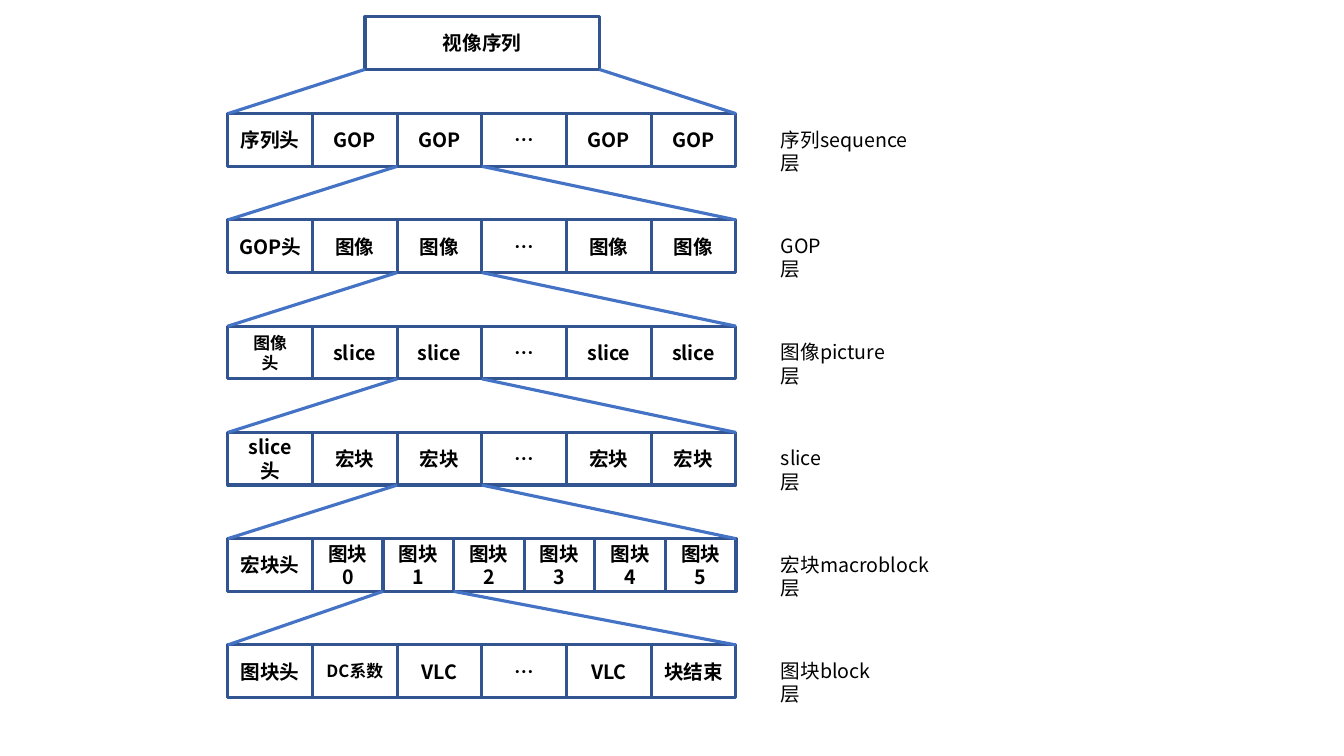
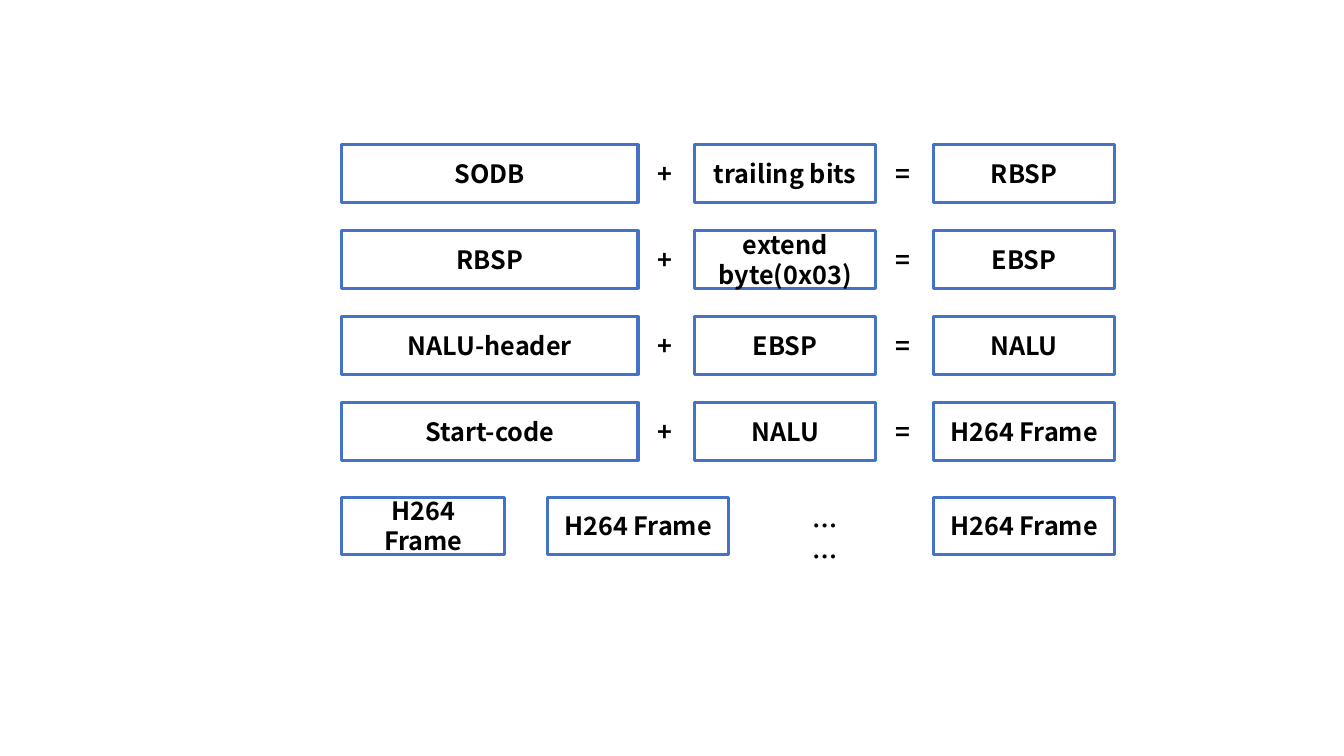
"""Build two slides on video coding layers and H264 frame assembly."""
from dataclasses import dataclass
from typing import NamedTuple

from lxml.etree import SubElement
from pptx import Presentation
from pptx.dml.color import RGBColor
from pptx.enum.shapes import MSO_CONNECTOR as Connector, MSO_SHAPE as Shape
from pptx.enum.text import MSO_ANCHOR as Anchor, PP_ALIGN as Align
from pptx.oxml.ns import qn
from pptx.util import Pt


@dataclass(frozen=True)
class Theme:
    """Colours, type and line sizes shared by the slides."""
    font: str = "Noto Sans CJK SC"
    text: str = "000000"
    paper: str = "FFFFFF"
    cell_line: str = "325491"
    accent: str = "4472C4"
    line_width: float = 2.25
    small: int = 12
    normal: int = 14
    large: int = 18


class Box(NamedTuple):
    """A rectangle in points."""
    left: float
    top: float
    width: float
    height: float

    @property
    def right(self):
        """Return the right edge."""
        return self.left + self.width

    @property
    def bottom(self):
        """Return the bottom edge."""
        return self.top + self.height


THEME = Theme()
LEVEL_PITCH = 75.9
EQUATION_PITCH = 61.4
LEVELS = [
    ("序列sequence层", 115.2, ["序列头", "GOP", "GOP", "…", "GOP", "GOP"]),
    ("GOP层", 56.9, ["GOP头", "图像", "图像", "…", "图像", "图像"]),
    ("图像picture层", 99.4, ["图像\n头", "slice", "slice", "…", "slice", "slice"]),
    ("slice层", 54.7, ["slice\n头", "宏块", "宏块", "…", "宏块", "宏块"]),
    ("宏块macroblock层", 127.4, ["宏块头"] + [f"图块{index}" for index in range(6)]),
    ("图块block层", 89.3, ["图块头", "DC系数", "VLC", "…", "VLC", "块结束"]),
]
SMALL_CELLS = {"图像\n头", "DC系数"}
EQUATIONS = [
    ("SODB", "trailing bits", "RBSP"),
    ("RBSP", "extend byte(0x03)", "EBSP"),
    ("NALU-header", "EBSP", "NALU"),
    ("Start-code", "NALU", "H264 Frame"),
]


def apply_format(target, values):
    """Set each attribute named in a dict of format values."""
    for name, value in values.items():
        setattr(target, name, value)


def write_text(text_frame, text, size, bold=True, align=Align.CENTER):
    """Write text, one paragraph per line, in the theme's type."""
    text_frame.word_wrap = True
    text_frame.text = text
    for paragraph in text_frame.paragraphs:
        paragraph.alignment = align
        for run in paragraph.runs:
            apply_format(run.font, {"name": THEME.font, "size": Pt(size), "bold": bold})
            run.font.color.rgb = RGBColor.from_string(THEME.text)
            SubElement(run.font._element, qn("a:ea"), typeface=THEME.font)


def draw_line(line, color):
    """Give a line its colour and the theme's width."""
    line.color.rgb = RGBColor.from_string(color)
    line.width = Pt(THEME.line_width)


def add_cell(slide, box, text, size, color, fill=None):
    """Add an outlined rectangle with centred text."""
    shape = slide.shapes.add_shape(Shape.RECTANGLE, *map(Pt, box))
    shape.shadow.inherit = False
    if fill:
        shape.fill.solid()
        shape.fill.fore_color.rgb = RGBColor.from_string(fill)
    else:
        shape.fill.background()
    draw_line(shape.line, color)
    shape.text_frame.vertical_anchor = Anchor.MIDDLE
    write_text(shape.text_frame, text, size)


def add_label(slide, box, text, size, bold=False):
    """Add left-aligned text in a box."""
    label = slide.shapes.add_textbox(*map(Pt, box))
    write_text(label.text_frame, text, size, bold, Align.LEFT)


def add_expansion(slide, parent, row):
    """Join the lower corners of a parent cell to the upper corners of a row."""
    for start, end in ((parent.left, row.left), (parent.right, row.right)):
        points = map(Pt, (start, parent.bottom, end, row.top))
        connector = slide.shapes.add_connector(Connector.STRAIGHT, *points)
        draw_line(connector.line, THEME.accent)
        SubElement(connector._element.spPr, qn("a:effectLst"))


def add_level(slide, row, label, label_width, texts):
    """Add a row of cells with its label and return the cell to expand."""
    head_width = row.width / 6
    width = (row.width - head_width) / (len(texts) - 1)
    cells = [Box(row.left, row.top, head_width, row.height)]
    for index in range(len(texts) - 1):
        left = row.left + head_width + index * width
        cells.append(Box(left, row.top, width, row.height))
    for cell, text in zip(cells, texts):
        size = THEME.small if text in SMALL_CELLS else THEME.normal
        add_cell(slide, cell, text, size, THEME.cell_line)
    label_box = Box(row.right + 25, row.top + 6.4, label_width, 24.2)
    add_label(slide, label_box, label, THEME.normal)
    return cells[2]


def build_layers(slide, box):
    """Show how each coding layer expands into the next."""
    parent = Box(box.left + 98, box.top, 167.4, 37.6)
    add_cell(slide, parent, "视像序列", THEME.normal, THEME.cell_line)
    expansions = []
    for index, level in enumerate(LEVELS):
        top = box.top + 69.2 + index * LEVEL_PITCH
        row = Box(box.left, top, box.width, 37.6)
        expansions.append((parent, row))
        parent = add_level(slide, row, *level)
    for expansion in expansions:
        add_expansion(slide, *expansion)


def add_frame_cells(slide, box, columns):
    """Add a row of cells from (offset, width, text) columns."""
    for offset, width, text in columns:
        cell = Box(box.left + offset, box.top, width, box.height)
        add_cell(slide, cell, text, THEME.large, THEME.accent, THEME.paper)


def add_symbols(slide, box, symbols):
    """Add text between cells from (offset, width, text) symbols."""
    for offset, width, text in symbols:
        symbol = Box(box.left + offset, box.top + 6.1, width, 29)
        add_label(slide, symbol, text, THEME.large, True)


def build_frames(slide, box):
    """Show how frames are assembled and then sent as a stream."""
    columns = [(0, 211.7), (252, 129.6), (422.6, 129.6)]
    for index, texts in enumerate(EQUATIONS):
        row = Box(box.left, box.top + index * EQUATION_PITCH, box.width, 41)
        add_frame_cells(slide, row, [(*column, text) for column, text in zip(columns, texts)])
        add_symbols(slide, row, [(218.2, 27.4, "+"), (388.8, 27.4, "=")])
    stream = Box(box.left, box.bottom - 41, box.width, 41)
    frames = [(0, 116.6), (146.9, 129.6), (422.6, 129.6)]
    add_frame_cells(slide, stream, [(*frame, "H264 Frame") for frame in frames])
    add_symbols(slide, stream, [(329, 43.9, "……")])


def main():
    """Build and save the presentation."""
    presentation = Presentation()
    apply_format(presentation, {"slide_width": Pt(960), "slide_height": Pt(540)})
    blank = presentation.slide_layouts[6]
    build_layers(presentation.slides.add_slide(blank), Box(162.7, 12, 363, 486))
    build_frames(presentation.slides.add_slide(blank), Box(244.1, 103.5, 552.2, 292.6))
    presentation.save("out.pptx")


if __name__ == "__main__":
    main()
